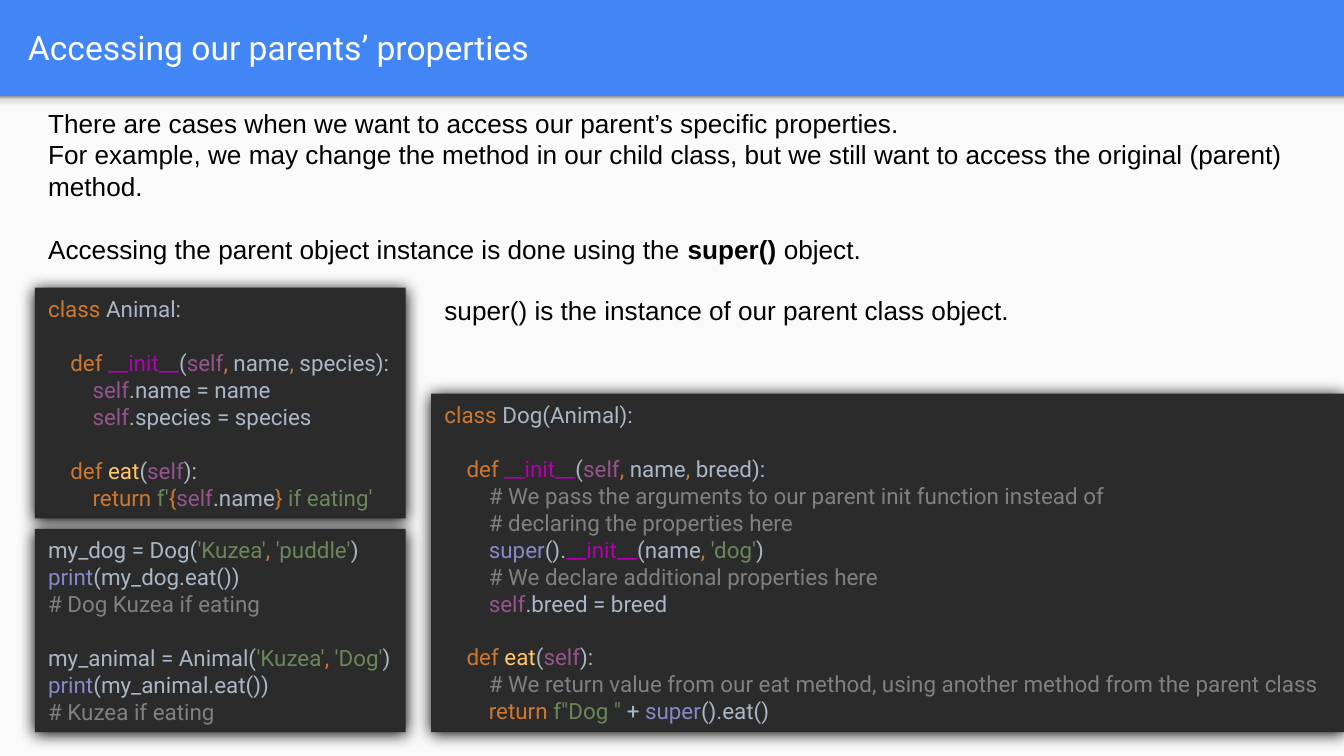
from lxml import etree
from pptx import Presentation
from pptx.dml.color import RGBColor
from pptx.enum.shapes import MSO_SHAPE as Preset
from pptx.enum.text import MSO_ANCHOR as Anchor
from pptx.oxml import parse_xml
from pptx.util import Cm, Pt

DRAWING = "http://schemas.openxmlformats.org/drawingml/2006/main"
BLUE = RGBColor(0x42, 0x85, 0xF4)
PAPER = RGBColor(0xFA, 0xFA, 0xFA)
EDITOR = RGBColor(0x2B, 0x2B, 0x2B)
WHITE = RGBColor(0xFF, 0xFF, 0xFF)
BLACK = RGBColor(0, 0, 0)
PLAIN = RGBColor(0xA9, 0xB7, 0xC6)
KEYWORD = RGBColor(0xCC, 0x78, 0x32)
MAGIC = RGBColor(0xB2, 0x00, 0xB2)
SELF = RGBColor(0x94, 0x55, 0x8D)
METHOD = RGBColor(0xFF, 0xC6, 0x6D)
STRING = RGBColor(0x6A, 0x87, 0x59)
REMARK = RGBColor(0x80, 0x80, 0x80)
BUILTIN = RGBColor(0x88, 0x88, 0xC6)

HEADING = "Accessing our parents’ properties"
INTRO = [
    [(0, ["There are cases when we want to access our parent’s specific properties."]),
     (0, ["For example, we may change the method in our child class, "
          "but we still want to access the original (parent) method."])],
    [(0, ["Accessing the parent object instance is done using the ",
          ("super() ", BLACK, True), "object."])],
]
SUPER_NOTE = "super() is the instance of our parent class object."

COMMA = (", ", KEYWORD)
SELF_WORD = ("self", SELF)
DEF = ("def ", KEYWORD)
INIT = ("__init__", MAGIC)
SUPER = ("super", BUILTIN)
PRINT = ("print", BUILTIN)
RETURN = ("return ", KEYWORD)
EAT_HEADER = (1, [DEF, ("eat", METHOD), "(", SELF_WORD, "):"])


def init_header(last_argument):
    return (1, [DEF, INIT, "(", SELF_WORD, COMMA, "name", COMMA, last_argument + "):"])


ANIMAL_CLASS = [
    [(0, [("class ", KEYWORD), "Animal:"])],
    [init_header("species"),
     (2, [SELF_WORD, ".name = name"]),
     (2, [SELF_WORD, ".species = species"])],
    [EAT_HEADER,
     (2, [RETURN, ("f'", STRING), ("{", KEYWORD), SELF_WORD, ".name",
          ("}", KEYWORD), (" if eating'", STRING)])],
]
DOG_CLASS = [
    [(0, [("class ", KEYWORD), "Dog(Animal):"])],
    [init_header("breed"),
     (2, [("# We pass the arguments to our parent init function instead of", REMARK)]),
     (2, [("# declaring the properties here", REMARK)]),
     (2, [SUPER, "().", INIT, "(name", COMMA, ("'dog'", STRING), ")"]),
     (2, [("# We declare additional properties here", REMARK)]),
     (2, [SELF_WORD, ".breed = breed"])],
    [EAT_HEADER,
     (2, [("# We return value from our eat method, using another method "
           "from the parent class", REMARK)]),
     (2, [RETURN, ('f"Dog " ', STRING), "+ ", SUPER, "().eat()"])],
]


def usage(variable, maker, second, output):
    return [(0, [f"{variable} = {maker}(", ("'Kuzea'", STRING), COMMA, (second, STRING), ")"]),
            (0, [PRINT, f"({variable}.eat())"]),
            (0, [(output, REMARK)])]


USAGE = [usage("my_dog", "Dog", "'puddle'", "# Dog Kuzea if eating"),
         usage("my_animal", "Animal", "'Dog'", "# Kuzea if eating")]

SLIDE_WIDTH, SLIDE_HEIGHT = Cm(25.4), Cm(14.29)
HEADER_HEIGHT = Cm(1.82)
LEFT, RIGHT = Cm(0.66), Cm(8.15)
CODE_WIDTH = Cm(7.01)
CODE_TOP, CODE_BOTTOM = Cm(5.44), Cm(13.84)
ANIMAL_HEIGHT, USAGE_TOP, DOG_TOP = Cm(4.36), Cm(10), Cm(7.44)
INDENT = Cm(0.42)


def write_text(shape, text, font="Arial", size=14, color=BLACK, pitch=17,
               anchor=Anchor.TOP, wrap=True):
    groups = [[(0, [text])]] if isinstance(text, str) else text
    frame = shape.text_frame
    frame.word_wrap = wrap
    frame.vertical_anchor = anchor
    frame.margin_left = frame.margin_right = Cm(0.25)
    frame.margin_top = frame.margin_bottom = Cm(0.13)
    lines = [(level, parts, group > 0 and row == 0)
             for group, rows in enumerate(groups)
             for row, (level, parts) in enumerate(rows)]
    for number, (level, parts, gap) in enumerate(lines):
        paragraph = frame.add_paragraph() if number else frame.paragraphs[0]
        properties = paragraph._p.get_or_add_pPr()
        properties.set("algn", "l")
        properties.set("marL", str(level * INDENT))
        properties.set("indent", "0")
        paragraph.space_before = Pt(pitch if gap else 0)
        for part in parts:
            words, shade, bold = ((part, color, False) if isinstance(part, str)
                                  else (*part, False)[:3])
            run = paragraph.add_run()
            run.text = words
            run.font.name, run.font.size, run.font.bold = font, Pt(size), bold
            run.font.color.rgb = shade


def add_panel(left, top, width, height, color):
    panel = slide.shapes.add_shape(Preset.RECTANGLE, left, top, width, height)
    panel.shadow.inherit = False
    panel.fill.solid()
    panel.fill.fore_color.rgb = color
    panel.line.fill.background()
    return panel


def add_code(left, top, width, height, code):
    panel = add_panel(left, top, width, height, EDITOR)
    effects = panel._element.spPr.find(f"{{{DRAWING}}}effectLst")
    glow = etree.SubElement(effects, f"{{{DRAWING}}}outerShdw", blurRad=str(Pt(8.5)),
                            dist=str(Pt(1)), dir="5400000", algn="ctr", rotWithShape="0")
    etree.SubElement(glow, f"{{{DRAWING}}}srgbClr", val="000000")
    write_text(panel, code, font="Roboto", size=12, color=PLAIN, pitch=14.4,
               anchor=Anchor.MIDDLE, wrap=False)


deck = Presentation()
deck.slide_width, deck.slide_height = SLIDE_WIDTH, SLIDE_HEIGHT
slide = deck.slides.add_slide(deck.slide_layouts[6])
slide.background.fill.solid()
slide.background.fill.fore_color.rgb = BLUE

add_panel(0, HEADER_HEIGHT, SLIDE_WIDTH, SLIDE_HEIGHT - HEADER_HEIGHT, PAPER)
header_edge = add_panel(0, HEADER_HEIGHT, SLIDE_WIDTH, Cm(0.3), PAPER)
stops = "".join(f'<a:gs pos="{place * 1000}"><a:srgbClr val="{shade}"/></a:gs>'
                for place, shade in [(0, "F9F9F9"), (36, "F9F9F9"),
                                     (80, "DEDEDE"), (100, "999999")])
edge_format = header_edge._element.spPr
edge_format.replace(edge_format.find(f"{{{DRAWING}}}solidFill"), parse_xml(
    f'<a:gradFill xmlns:a="{DRAWING}"><a:gsLst>{stops}</a:gsLst>'
    '<a:lin ang="16200000" scaled="0"/></a:gradFill>'))

heading = slide.shapes.add_textbox(Cm(0.28), Cm(0.05), Cm(24.51), Cm(1.68))
write_text(heading, HEADING, font="Roboto", size=18, color=WHITE, anchor=Anchor.MIDDLE)
intro = slide.shapes.add_textbox(LEFT, Cm(1.9), Cm(23.98), Cm(3.25))
write_text(intro, INTRO)
add_code(LEFT, CODE_TOP, CODE_WIDTH, ANIMAL_HEIGHT, ANIMAL_CLASS)
add_code(RIGHT, DOG_TOP, SLIDE_WIDTH - RIGHT, CODE_BOTTOM - DOG_TOP, DOG_CLASS)
add_code(LEFT, USAGE_TOP, CODE_WIDTH, CODE_BOTTOM - USAGE_TOP, USAGE)
super_note = slide.shapes.add_textbox(RIGHT, CODE_TOP, Cm(16.94), Cm(0.86))
write_text(super_note, SUPER_NOTE)

deck.save("out.pptx")
